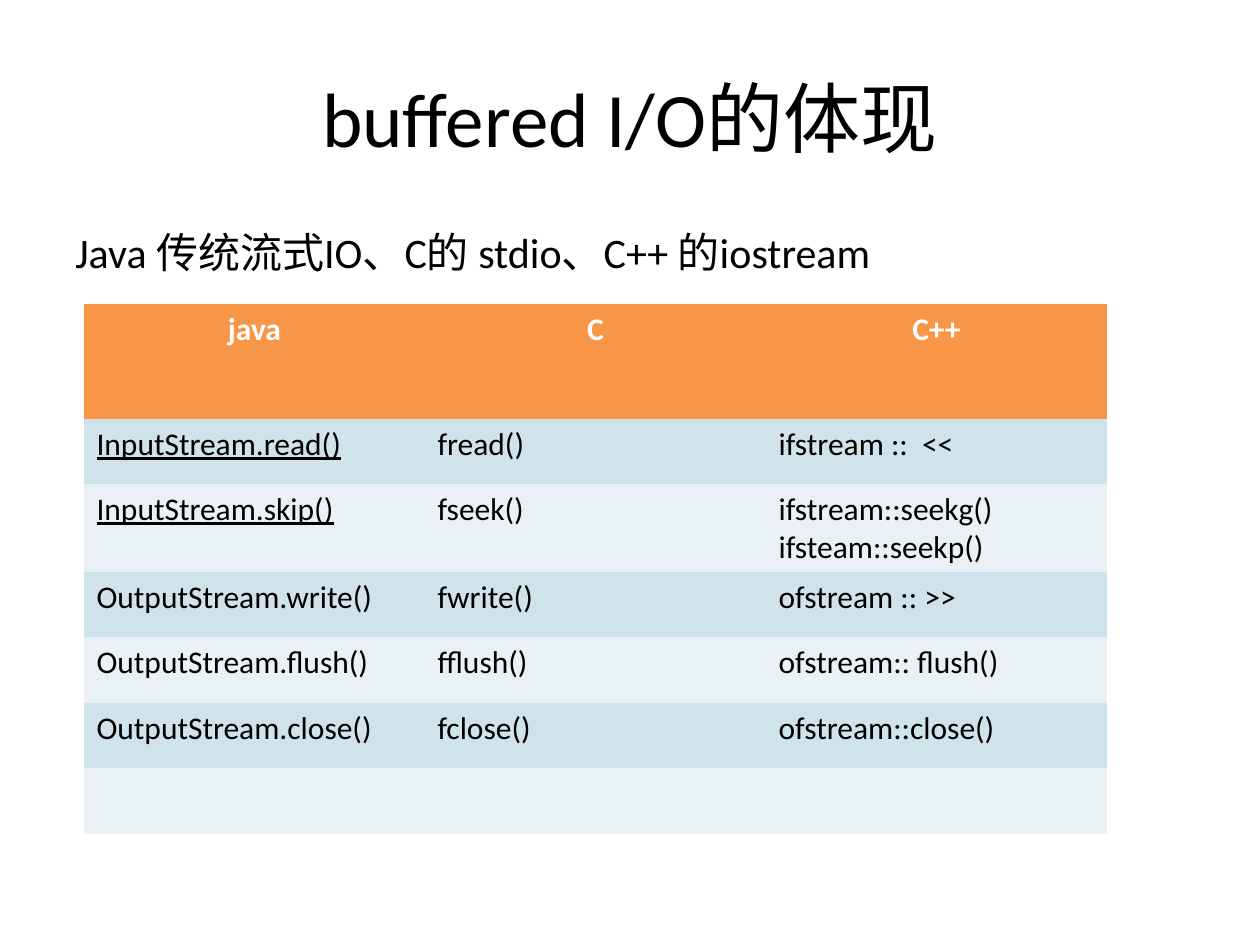
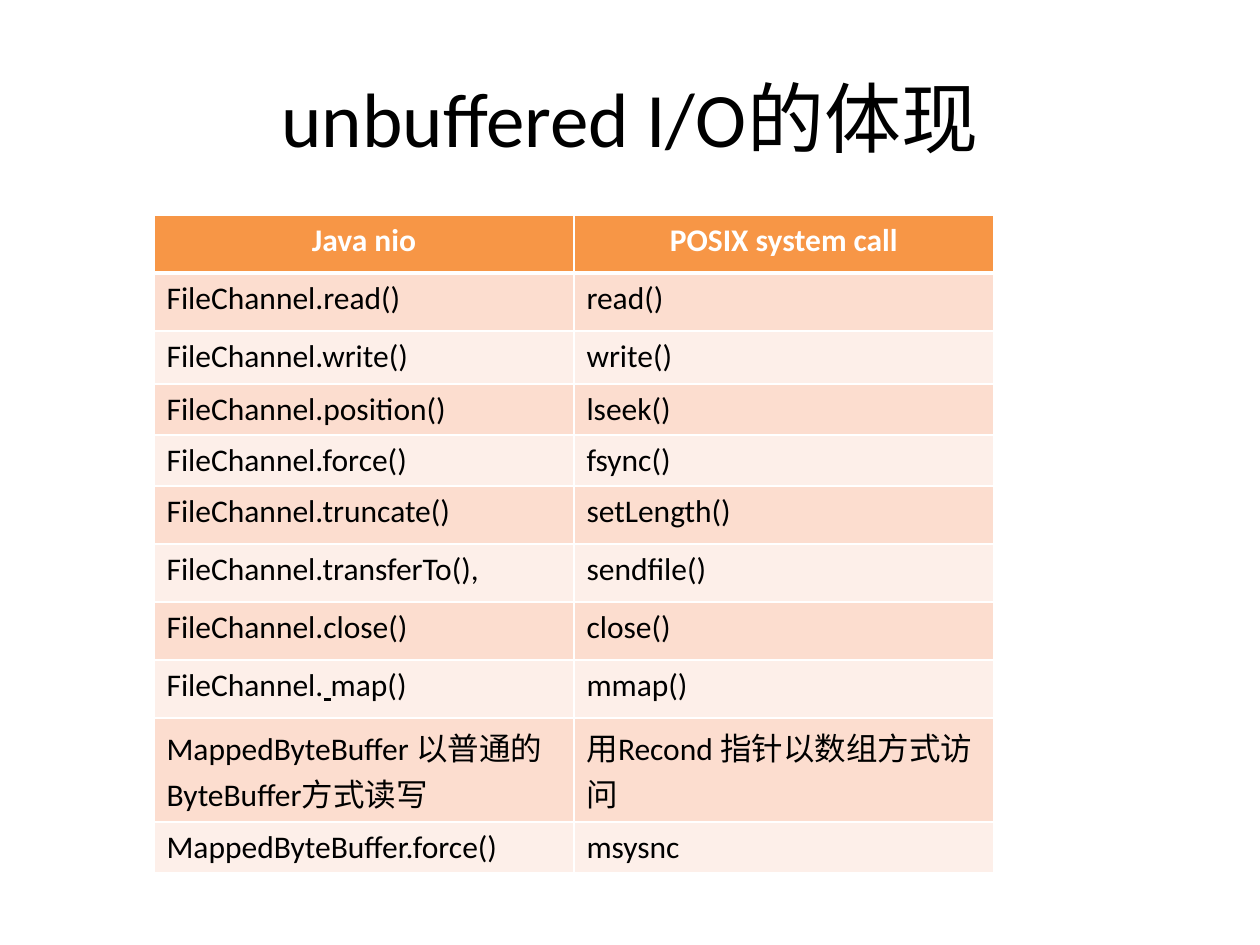
from lxml.etree import SubElement
from pptx import Presentation
from pptx.dml.color import RGBColor
from pptx.enum.text import MSO_ANCHOR as Anchor, PP_ALIGN as Align
from pptx.oxml.ns import qn
from pptx.util import Emu, Pt

PX_PER_INCH = 126
FONT = "Calibri"
BLACK = RGBColor(0x00, 0x00, 0x00)
WHITE = RGBColor(0xFF, 0xFF, 0xFF)
ORANGE = RGBColor(0xF7, 0x96, 0x46)
BLUE_BANDS = (RGBColor(0xD0, 0xE3, 0xEA), RGBColor(0xE9, 0xF1, 0xF5))
PEACH_BANDS = (RGBColor(0xFC, 0xDD, 0xCF), RGBColor(0xFD, 0xEF, 0xE9))
PLAIN_TABLE_STYLE = "{2D5ABB26-0587-4C30-8999-92F81FD0307C}"

TITLE_BOX = (63, 38, 1134, 157)
INTRO_BOX = (63, 220, 1134, 624)
TITLE_FORMAT = {"size": Pt(44), "bold": False, "color": BLACK}
INTRO_FORMAT = {"size": Pt(24), "bold": False, "color": BLACK}
HEADER_FORMAT = {"size": Pt(18), "bold": True, "color": WHITE}
CELL_FORMAT = {"size": Pt(18), "bold": False, "color": BLACK}

# Text between bars is underlined.
SLIDES = [
    {
        "title": "buffered I/O的体现",
        "intro": "Java 传统流式IO、C的 stdio、C++ 的iostream",
        "origin": (84, 304),
        "column_width": 341,
        "row_heights": [115, 65, 66, 65, 66, 65, 66],
        "bands": BLUE_BANDS,
        "bordered": False,
        "rows": [
            ("java", "C", "C++"),
            ("|InputStream.read()|", "fread()", "ifstream ::  <<"),
            ("|InputStream.skip()|", "fseek()", "ifstream::seekg()\nifsteam::seekp()"),
            ("OutputStream.write()", "fwrite()", "ofstream :: >>"),
            ("OutputStream.flush()", "fflush()", "ofstream:: flush()"),
            ("OutputStream.close()", "fclose()", "ofstream::close()"),
            ("", "", ""),
        ],
    },
    {
        "title": "unbuffered I/O的体现",
        "intro": None,
        "origin": (154, 215),
        "column_width": 420,
        "row_heights": [58, 58, 53, 49, 49, 58, 58, 58, 58, 91, 50],
        "bands": PEACH_BANDS,
        "bordered": True,
        "rows": [
            ("Java nio", "POSIX system call"),
            ("FileChannel.read()", "read()"),
            ("FileChannel.write()", "write()"),
            ("FileChannel.position()", "lseek()"),
            ("FileChannel.force()", "fsync()"),
            ("FileChannel.truncate()", "setLength()"),
            ("FileChannel.transferTo(),", "sendfile()"),
            ("FileChannel.close()", "close()"),
            ("FileChannel.| |map()", "mmap()"),
            ("MappedByteBuffer 以普通的ByteBuffer方式读写", "用Recond 指针以数组方式访问"),
            ("MappedByteBuffer.force()", "msysnc"),
        ],
    },
]


def px(length):
    return Emu(round(length * 914400 / PX_PER_INCH))


def write_text(frame, text, text_format, align=Align.LEFT):
    for index, line in enumerate(text.split("\n")):
        paragraph = frame.add_paragraph() if index else frame.paragraphs[0]
        paragraph.alignment = align
        for position, part in enumerate(line.split("|")):
            if not part:
                continue
            run = paragraph.add_run()
            run.text = part
            run.font.name = FONT
            run.font.underline = position % 2 == 1
            for name, value in text_format.items():
                if name == "color":
                    run.font.color.rgb = value
                else:
                    setattr(run.font, name, value)


def add_borders(cell, row_index):
    widths = {
        "a:lnL": 1,
        "a:lnR": 1,
        "a:lnT": 3 if row_index == 1 else 1,
        "a:lnB": 3 if row_index == 0 else 1,
    }
    properties = cell._tc.get_or_add_tcPr()
    for tag, width in widths.items():
        line = SubElement(properties, qn(tag), w=str(Pt(width)))
        fill = SubElement(line, qn("a:solidFill"))
        SubElement(fill, qn("a:srgbClr"), val=str(WHITE))


def add_title(slide, text):
    title = slide.shapes.title
    title.left, title.top, title.width, title.height = map(px, TITLE_BOX)
    title.text_frame.vertical_anchor = Anchor.MIDDLE
    write_text(title.text_frame, text, TITLE_FORMAT, Align.CENTER)


def add_intro(slide, text):
    frame = slide.shapes.add_textbox(*map(px, INTRO_BOX)).text_frame
    frame.word_wrap = True
    write_text(frame, text, INTRO_FORMAT)
    frame.paragraphs[0].space_before = Pt(5)


def add_call_table(slide, content):
    rows, heights = content["rows"], content["row_heights"]
    column_count = len(rows[0])
    size = (column_count * content["column_width"], sum(heights))
    table = slide.shapes.add_table(
        len(rows), column_count, *map(px, content["origin"] + size)
    ).table
    table._tbl.tblPr.find(qn("a:tableStyleId")).text = PLAIN_TABLE_STYLE
    for column in table.columns:
        column.width = px(content["column_width"])
    for row_index, (texts, height) in enumerate(zip(rows, heights)):
        table.rows[row_index].height = px(height)
        is_header = row_index == 0
        color = ORANGE if is_header else content["bands"][(row_index - 1) % 2]
        text_format = HEADER_FORMAT if is_header else CELL_FORMAT
        align = Align.CENTER if is_header else Align.LEFT
        for column_index, text in enumerate(texts):
            cell = table.cell(row_index, column_index)
            if content["bordered"]:
                add_borders(cell, row_index)
            cell.fill.solid()
            cell.fill.fore_color.rgb = color
            write_text(cell.text_frame, text, text_format, align)


def main():
    presentation = Presentation()
    presentation.slide_width, presentation.slide_height = px(1260), px(945)
    title_only = presentation.slide_layouts[5]
    for content in SLIDES:
        slide = presentation.slides.add_slide(title_only)
        add_title(slide, content["title"])
        if content["intro"]:
            add_intro(slide, content["intro"])
        add_call_table(slide, content)
    presentation.save("out.pptx")


if __name__ == "__main__":
    main()
